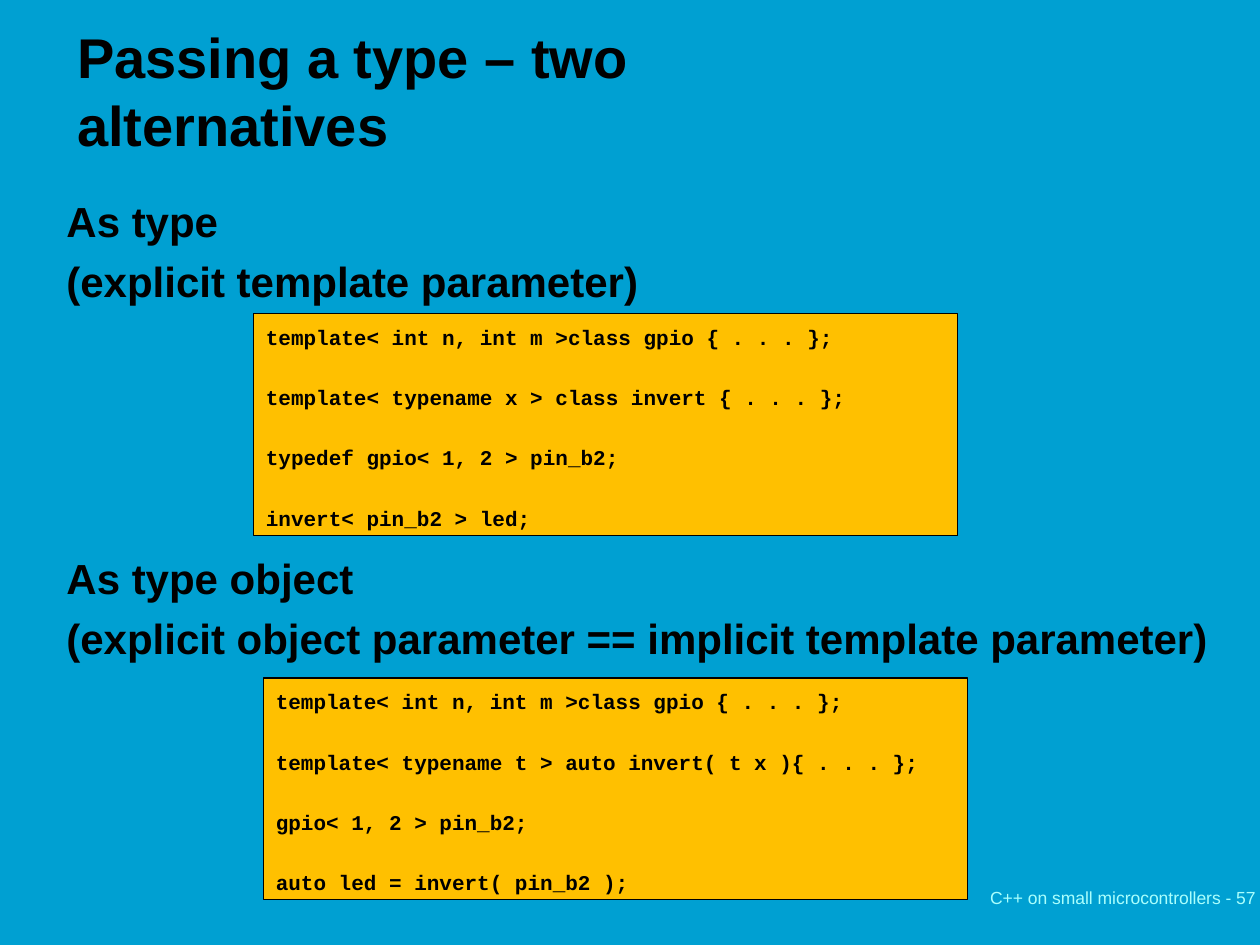
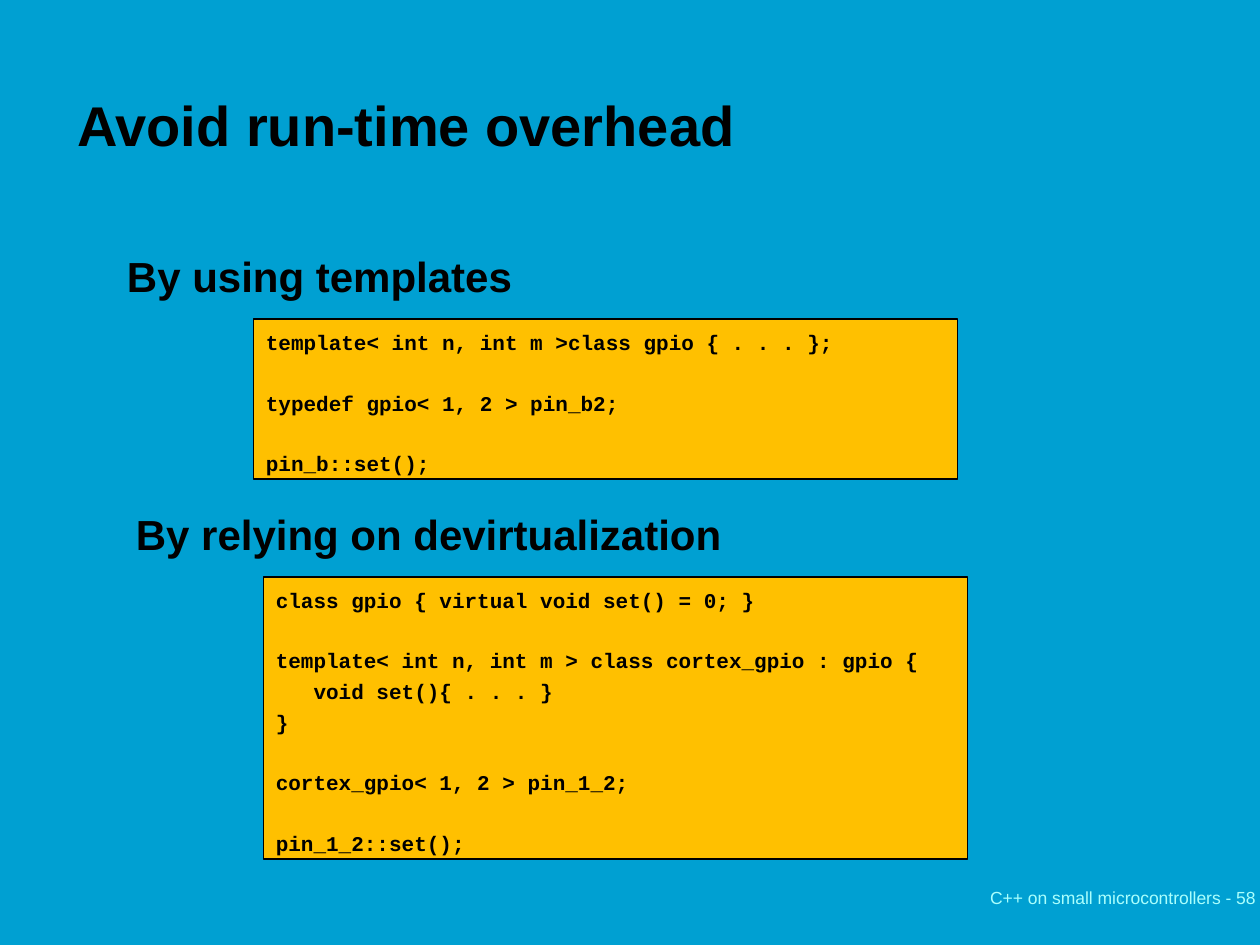
from dataclasses import dataclass

import pptx
import pptx.dml.color
import pptx.enum.shapes
import pptx.enum.text
import pptx.util

Cm, Pt = pptx.util.Cm, pptx.util.Pt
RGB = pptx.dml.color.RGBColor
Anchor = pptx.enum.text.MSO_ANCHOR


@dataclass(frozen=True)
class Theme:
    background: RGB = RGB(0x00, 0xA0, 0xD2)
    ink: RGB = RGB(0, 0, 0)
    code_fill: RGB = RGB(0xFF, 0xC0, 0x00)
    footer_ink: RGB = RGB(0xAA, 0xFF, 0xFD)
    font: str = "Arial"
    code_font: str = "Courier New"
    title_size: float = 32
    heading_size: float = 24
    code_size: float = 12
    footer_size: float = 10
    heading_gap: float = 5.5
    code_gap: float = 3.2
    code_blank: float = 16.8  # one empty code line


theme = Theme()
FIRST_NUMBER = 57
TITLE_BOTTOM = 3.3
CODE_WIDTH = 14.2

# Each section: heading box, heading lines, code box (left, top, height), code
slides = [
    ("Passing a type – two alternatives", 3.0, [
        ((1.09, 3.73, 23.09, 2.51),
         ["As type", "(explicit template parameter)"],
         (5.11, 6.32, 4.47),
         """template< int n, int m >class gpio { . . . };

template< typename x > class invert { . . . };

typedef gpio< 1, 2 > pin_b2;

invert< pin_b2 > led;"""),
        ((1.09, 10.92, 24.31, 2.51),
         ["As type object",
          "(explicit object parameter == implicit template parameter)"],
         (5.31, 13.67, 4.47),
         """template< int n, int m >class gpio { . . . };

template< typename t > auto invert( t x ){ . . . };

gpio< 1, 2 > pin_b2;

auto led = invert( pin_b2 );"""),
    ]),
    ("Avoid run-time overhead", 1.62, [
        ((2.31, 4.83, 21.89, 1.27),
         ["By using templates"],
         (5.11, 6.43, 3.23),
         """template< int n, int m >class gpio { . . . };

typedef gpio< 1, 2 > pin_b2;

pin_b::set();"""),
        ((2.49, 10.03, 21.89, 1.27),
         ["By relying on devirtualization"],
         (5.31, 11.63, 5.69),
         """class gpio { virtual void set() = 0; }

template< int n, int m > class cortex_gpio : gpio {
   void set(){ . . . }
}

cortex_gpio< 1, 2 > pin_1_2;

pin_1_2::set();"""),
    ]),
]


def style(p, font, size, color, bold=True):
    p.alignment = pptx.enum.text.PP_ALIGN.LEFT
    p.font.name = font
    p.font.size = Pt(size)
    p.font.bold = bold
    p.font.color.rgb = color


def write_lines(tf, lines, font, size, gap, blank=0):
    """Write one paragraph per line; an empty line widens the next gap."""
    tf.word_wrap = True
    tf.vertical_anchor = Anchor.TOP
    tf.margin_top = Cm(0.22)
    p, space = None, 0
    for line in lines:
        if not line:
            space += blank
            continue
        p = tf.add_paragraph() if p else tf.paragraphs[0]
        p.text = line
        p.space_before = Pt(space)
        style(p, font, size, theme.ink)
        space = gap


prs = pptx.Presentation()
prs.slide_width, prs.slide_height = Cm(25.4), Cm(19.05)
prs.slide_master.background.fill.solid()
prs.slide_master.background.fill.fore_color.rgb = theme.background
title_only = prs.slide_layouts[5]

for number, (title, title_height, sections) in enumerate(slides, FIRST_NUMBER):
    s = prs.slides.add_slide(title_only)

    sp = s.shapes.title
    sp.left, sp.top = Cm(1.3), Cm(TITLE_BOTTOM - title_height)
    sp.width, sp.height = Cm(18), Cm(title_height)
    tf = sp.text_frame
    tf.text = title
    tf.word_wrap = True
    tf.auto_size = pptx.enum.text.MSO_AUTO_SIZE.NONE
    tf.vertical_anchor = Anchor.BOTTOM
    style(tf.paragraphs[0], theme.font, theme.title_size, theme.ink)

    sp = s.shapes.add_textbox(Cm(19.71), Cm(17.45), Cm(5.69), Cm(1.27))
    tf = sp.text_frame
    tf.text = f"C++ on small microcontrollers - {number}"
    tf.word_wrap = False
    tf.margin_right = 0
    tf.vertical_anchor = Anchor.MIDDLE
    style(tf.paragraphs[0], theme.font, theme.footer_size, theme.footer_ink,
          bold=False)

    for heading_box, heading, (left, top, height), code in sections:
        sp = s.shapes.add_shape(pptx.enum.shapes.MSO_SHAPE.RECTANGLE,
                                Cm(left), Cm(top), Cm(CODE_WIDTH), Cm(height))
        sp.shadow.inherit = False
        sp.fill.solid()
        sp.fill.fore_color.rgb = theme.code_fill
        sp.line.color.rgb = theme.ink
        sp.line.width = Pt(0.75)
        write_lines(sp.text_frame, code.split("\n"), theme.code_font,
                    theme.code_size, theme.code_gap, theme.code_blank)

        sp = s.shapes.add_textbox(*map(Cm, heading_box))
        write_lines(sp.text_frame, heading, theme.font,
                    theme.heading_size, theme.heading_gap)

prs.save("out.pptx")
